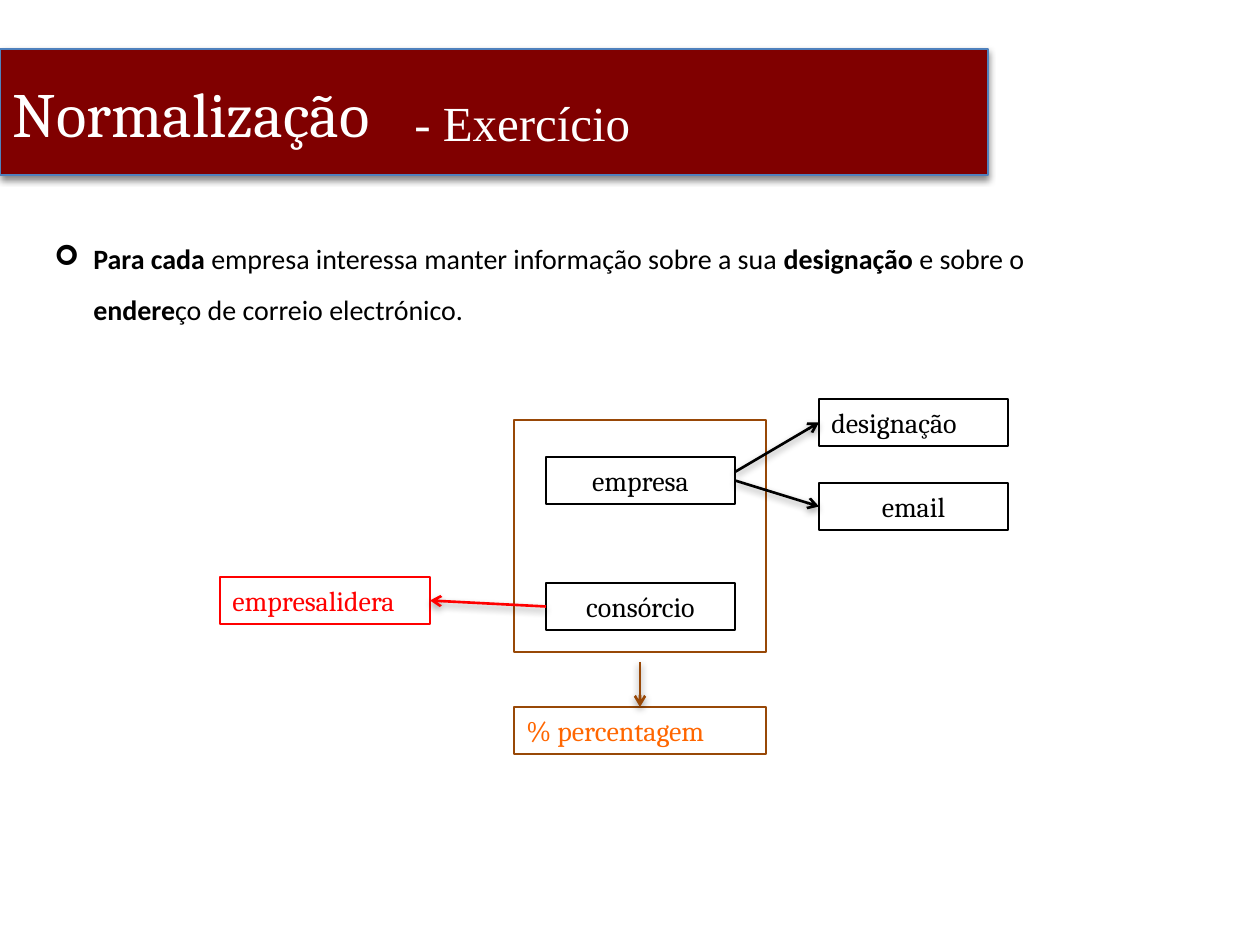
from dataclasses import dataclass

from lxml.etree import SubElement
from pptx import Presentation
from pptx.dml.color import RGBColor
from pptx.enum.shapes import MSO_CONNECTOR, MSO_SHAPE
from pptx.enum.text import MSO_ANCHOR, MSO_AUTO_SIZE, PP_ALIGN
from pptx.oxml.ns import qn
from pptx.util import Emu, Pt

EMU_PER_INCH = 914400
PX_PER_INCH = 126
BOX_H = 47
TOP, LEFT, RIGHT = 0, 1, 3
COLORS = {
    "banner": "800000", "banner_line": "4F81BD", "white": "FFFFFF",
    "black": "000000", "brown": "984807", "orange": "FF6600", "red": "FF0000",
}


@dataclass(frozen=True)
class Box:
    text: str
    x: int
    y: int
    w: int = 189
    h: int = BOX_H
    line: str = "black"
    color: str = "black"
    align: PP_ALIGN = PP_ALIGN.LEFT


@dataclass(frozen=True)
class Arrow:
    """An arrow to a side of a box, from a side of another or a free point."""
    end: str
    end_side: int
    color: str = "black"
    begin: str = ""
    begin_side: int = RIGHT
    start: tuple[int, int] = (0, 0)


BOXES = {
    "frame": Box("", 514, 420, 252, 232, line="brown"),
    "company": Box("empresa", 546, 457, align=PP_ALIGN.CENTER),
    "consortium": Box("consórcio", 546, 583, align=PP_ALIGN.CENTER),
    "percentage": Box("% percentagem", 514, 707, 252, line="brown", color="orange"),
    "leader": Box("empresalidera", 220, 577, 210, line="red", color="red"),
    "name": Box("designação", 819, 399),
    "email": Box("email", 819, 483, align=PP_ALIGN.CENTER),
}
ARROWS = [
    Arrow("leader", RIGHT, "red", begin="consortium", begin_side=LEFT),
    Arrow("percentage", TOP, "brown", start=(640, 662)),
    Arrow("email", LEFT, begin="company"),
    Arrow("name", LEFT, start=(735, 472)),
]
REQUIREMENT = [
    ("Para cada ", True),
    ("empresa interessa manter informação sobre a sua ", False),
    ("designação", True),
    (" e sobre o ", False),
    ("endere", True),
    ("ço de correio electrónico.", False),
]


def px(n: int) -> Emu:
    return Emu(round(n * EMU_PER_INCH / PX_PER_INCH))


def rgb(name: str) -> RGBColor:
    return RGBColor.from_string(COLORS[name])


def place(sp, x: int, y: int, w: int, h: int) -> None:
    sp.left, sp.top, sp.width, sp.height = px(x), px(y), px(w), px(h)


def add_text(p, text: str, *, size: int = 16, font: str = "Cambria",
             color: str = "black", bold: bool = False,
             align: PP_ALIGN = PP_ALIGN.LEFT) -> None:
    p.alignment = align
    r = p.add_run()
    r.text = text
    r.font.size, r.font.name, r.font.bold = Pt(size), font, bold
    r.font.color.rgb = rgb(color)


def set_line(sp, color: str, width: float = 0.75) -> None:
    sp.line.color.rgb = rgb(color)
    sp.line.width = Pt(width)


def drop_shadow(sp, alpha: int, blur: float) -> None:
    """Add a shadow straight below; call after fill and line are set."""
    effects = SubElement(sp._element.spPr, qn("a:effectLst"))
    shadow = SubElement(effects, qn("a:outerShdw"), blurRad=str(Pt(blur)),
                        dist=str(Pt(2)), dir="5400000", rotWithShape="0")
    color = SubElement(shadow, qn("a:srgbClr"), val=COLORS["black"])
    SubElement(color, qn("a:alpha"), val=str(alpha * 1000))


def add_title(s) -> None:
    sp = s.shapes.title
    place(sp, 0, 49, 988, 126)
    sp.fill.solid()
    sp.fill.fore_color.rgb = rgb("banner")
    set_line(sp, "banner_line")
    drop_shadow(sp, 45, 4)
    tf = sp.text_frame
    tf.auto_size = MSO_AUTO_SIZE.NONE
    tf.vertical_anchor = MSO_ANCHOR.MIDDLE
    add_text(tf.paragraphs[0], "Normalização", size=36, color="white")


def add_text_box(s, x: int, y: int, w: int, h: int):
    """Return the first paragraph of a new wrapping text box."""
    tf = s.shapes.add_textbox(px(x), px(y), px(w), px(h)).text_frame
    tf.word_wrap = True
    return tf.paragraphs[0]


def add_requirement(s) -> None:
    p = add_text_box(s, 42, 219, 1050, 112)
    p.line_spacing = 1.5
    pPr = p._p.get_or_add_pPr()
    indent = px(39)
    pPr.set("marL", str(indent))
    pPr.set("indent", str(-indent))
    SubElement(pPr, qn("a:buFont"), typeface="Wingdings")
    SubElement(pPr, qn("a:buChar"), char="➢")
    for text, bold in REQUIREMENT:
        add_text(p, text, font="Calibri", bold=bold)


def add_box(s, box: Box):
    sp = s.shapes.add_shape(MSO_SHAPE.RECTANGLE, px(box.x), px(box.y),
                            px(box.w), px(box.h))
    sp.shadow.inherit = False
    sp.fill.background()
    set_line(sp, box.line)
    if box.text:
        tf = sp.text_frame
        tf.vertical_anchor = MSO_ANCHOR.TOP
        add_text(tf.paragraphs[0], box.text, color=box.color, align=box.align)
    return sp


def add_arrow(s, arrow: Arrow, shapes: dict) -> None:
    x, y = map(px, arrow.start)
    c = s.shapes.add_connector(MSO_CONNECTOR.STRAIGHT, x, y, x, y)
    if arrow.begin:
        c.begin_connect(shapes[arrow.begin], arrow.begin_side)
    c.end_connect(shapes[arrow.end], arrow.end_side)
    set_line(c, arrow.color, 1.5)
    SubElement(c.line._get_or_add_ln(), qn("a:tailEnd"), type="arrow")
    drop_shadow(c, 40, 4.1)


def main() -> None:
    prs = Presentation()
    prs.slide_width, prs.slide_height = px(1260), px(945)
    s = prs.slides.add_slide(prs.slide_layouts[5])
    add_title(s)
    add_requirement(s)
    shapes = {name: add_box(s, box) for name, box in BOXES.items()}
    for arrow in ARROWS:
        add_arrow(s, arrow, shapes)
    add_text(add_text_box(s, 402, 86, 553, 83), "- Exercício",
             size=28, font="Times New Roman", color="white")
    prs.save("out.pptx")


if __name__ == "__main__":
    main()
